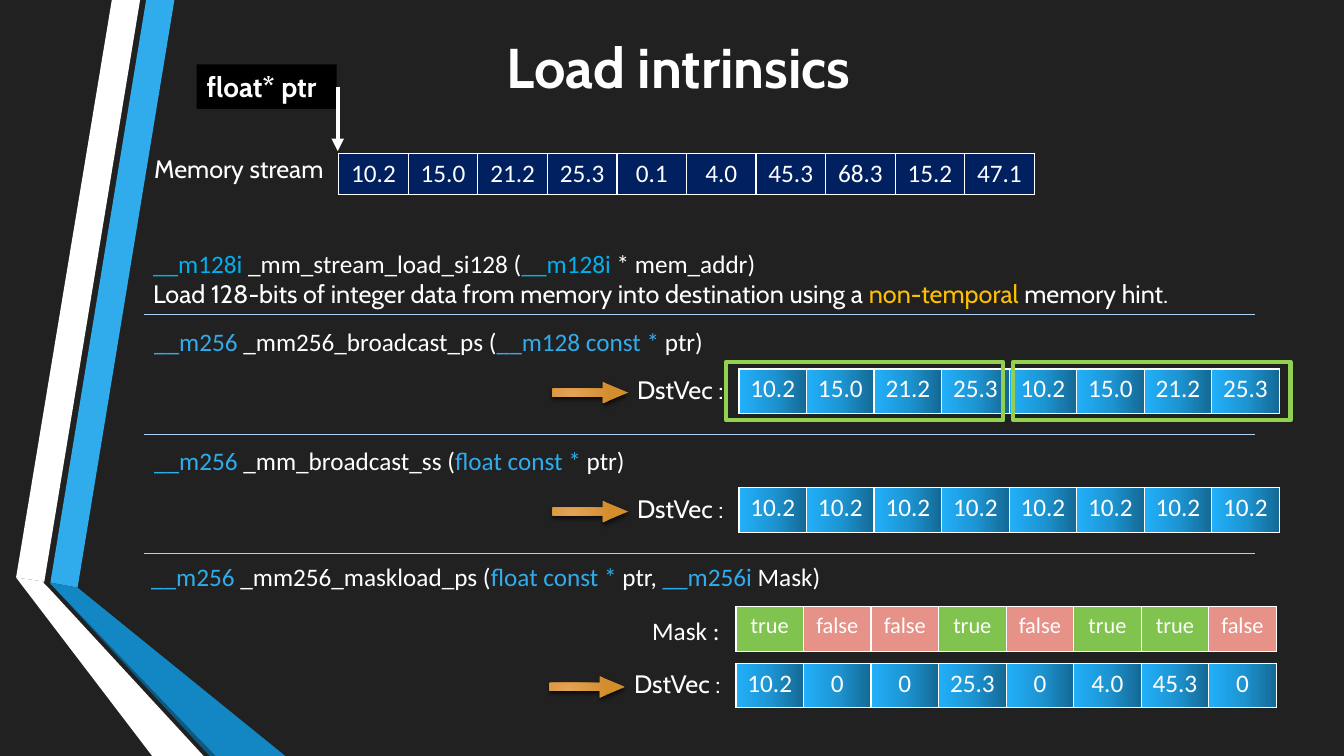
from lxml import etree
from pptx import Presentation, util as u
from pptx.dml.color import RGBColor
from pptx.enum import shapes, text
from pptx.oxml import parse_xml

COLORS = {
    "back": "212121", "white": "FFFFFF", "black": "000000", "navy": "002060",
    "sky": "30ACEC", "blue": "1287C3", "deep": "0C5A82", "type": "00B0F0",
    "amber": "FFC000", "rule": "AED2F4", "frame": "92D050",
    "true": "80C34F", "false": "E69289",
}
VECTOR_STOPS = [(0, "146994"), (50, "1D95D3"), (100, "22B0FA")]
ARROW_STOPS = [(0, "E4A559"), (100, "D38D2D")]
A = "http://schemas.openxmlformats.org/drawingml/2006/main"

RIBBONS = [
    ("sky", [(0.5, 5.78), (0.77, 5.83), (1.73, 0), (1.45, 0)]),
    ("white", [(1.39, 0), (1.11, 0), (0.16, 5.73), (0.44, 5.77)]),
    ("deep", [(0.5, 5.79), (2.08, 7.5), (2.14, 7.5)]),
    ("blue", [(0.5, 5.79), (2.14, 7.5), (2.83, 7.5), (0.77, 5.83), (0.5, 5.78)]),
    ("white", [(2.02, 7.5), (0.48, 5.83), (0.43, 5.78), (0.44, 5.77),
               (0.16, 5.73), (1.51, 7.5)]),
]
MEMORY = ["10.2", "15.0", "21.2", "25.3", "0.1", "4.0", "45.3", "68.3", "15.2", "47.1"]
STREAM_LOAD = [
    [("__m128i", "type"), (" _mm_stream_load_si128 (", "white"),
     ("__m128i ", "type"), ("* mem_addr)", "white")],
    [("Load 128-bits of integer data from memory into destination using a ", "white", "Cabin"),
     ("non-temporal", "amber", "Cabin"), (" memory hint.", "white", "Cabin")],
]
SIGNATURES = [  # left, top, width, runs
    (1.43, 3.19, 5.71, [("__m256", "sky"), (" _mm256_broadcast_ps (", "white"),
                        ("__m128 const * ", "sky"), ("ptr)", "white")]),
    (1.43, 4.37, 4.92, [("__m256", "sky"), (" _mm_broadcast_ss (", "white"),
                        ("float const * ", "sky"), ("ptr)", "white")]),
    (1.4, 5.52, 6.85, [("__m256", "sky"), (" _mm256_maskload_ps (", "white"),
                       ("float const * ", "sky"), ("ptr, ", "white"),
                       ("__m256i ", "sky"), ("Mask)", "white")]),
]
VECTORS = [  # left, top, values
    (7.33, 3.66, MEMORY[:4] * 2),
    (7.33, 4.84, MEMORY[:1] * 8),
    (7.3, 6.58, ["10.2", "0", "0", "25.3", "0", "4.0", "45.3", "0"]),
]
MASK = ["true", "false", "false", "true", "false", "true", "true", "false"]
RULES = [3.12, 4.31, 5.49]


def rgb(name):
    return RGBColor.from_string(COLORS[name])


def inches(*values):
    return [u.Inches(value) for value in values]


def gradient(stops, direction):
    marks = "".join(f'<a:gs pos="{place * 1000}"><a:srgbClr val="{color}"/></a:gs>'
                    for place, color in stops)
    return parse_xml(f'<a:gradFill xmlns:a="{A}" rotWithShape="1">'
                     f'<a:gsLst>{marks}</a:gsLst>{direction}</a:gradFill>')


def write(frame, lines, size=18, font="Calibri", bold=False, align=None):
    """Fill a text frame; each line is a list of (text, colour[, font]) runs."""
    for index, runs in enumerate(lines):
        para = frame.paragraphs[0] if index == 0 else frame.add_paragraph()
        para.alignment = align
        for words, color, *face in runs:
            span = para.add_run()
            span.text = words
            span.font.size = u.Pt(size)
            span.font.name = face[0] if face else font
            span.font.bold = bold
            span.font.color.rgb = rgb(color)


def add_text(page, place, lines, wrap=False, anchor=text.MSO_ANCHOR.TOP, **style):
    box = page.shapes.add_textbox(*inches(*place))
    frame = box.text_frame
    frame.word_wrap = wrap
    frame.vertical_anchor = anchor
    write(frame, lines, **style)
    return box


def add_line(page, start, end, color, width):
    line = page.shapes.add_connector(shapes.MSO_CONNECTOR.STRAIGHT, *inches(*start, *end))
    line.line.color.rgb = rgb(color)
    line.line.width = u.Pt(width)
    etree.SubElement(line._element.spPr, f"{{{A}}}effectLst")
    return line


def add_cells(page, left, top, cell_width, height, values, fills=None, size=18):
    """Add a one-row table; without fills the cells get the vector gradient."""
    table = page.shapes.add_table(
        1, len(values), *inches(left, top, cell_width * len(values), height)).table
    table.first_row = table.horz_banding = False
    table.rows[0].height = u.Inches(height)
    for index, value in enumerate(values):
        table.columns[index].width = u.Inches(cell_width)
        cell = table.cell(0, index)
        write(cell.text_frame, [[(value, "white")]], size=size, align=text.PP_ALIGN.CENTER)
        props = cell._tc.get_or_add_tcPr()
        for side in "LRTB":
            props.append(parse_xml(
                f'<a:ln{side} xmlns:a="{A}" w="12700"><a:solidFill>'
                f'<a:srgbClr val="{COLORS["white"]}"/></a:solidFill></a:ln{side}>'))
        if fills:
            cell.fill.solid()
            cell.fill.fore_color.rgb = rgb(fills[index])
        else:
            props.append(gradient(VECTOR_STOPS, '<a:lin ang="10800000" scaled="0"/>'))


def add_arrow(page, left, top):
    arrow = page.shapes.add_shape(shapes.MSO_SHAPE.RIGHT_ARROW, *inches(left, top, 0.75, 0.21))
    arrow.adjustments[0], arrow.adjustments[1] = 0.37, 1.19
    arrow.line.fill.background()
    props = arrow._element.spPr
    props.insert(2, gradient(
        ARROW_STOPS, '<a:path path="circle"><a:fillToRect l="50000" t="100000" '
                     'r="100000" b="50000"/></a:path>'))
    props.append(parse_xml(
        f'<a:effectLst xmlns:a="{A}"><a:outerShdw blurRad="38100" dist="25400" '
        f'dir="5400000" rotWithShape="0"><a:srgbClr val="{COLORS["black"]}">'
        '<a:alpha val="64000"/></a:srgbClr></a:outerShdw></a:effectLst>'))


def add_ribbon(page, color, points):
    corners = [inches(*point) for point in points]
    builder = page.shapes.build_freeform(*corners[0])
    builder.add_line_segments(corners[1:], close=True)
    ribbon = builder.convert_to_shape()
    ribbon.shadow.inherit = False
    ribbon.fill.solid()
    ribbon.fill.fore_color.rgb = rgb(color)
    ribbon.line.fill.background()


def add_frame(page, left):
    frame = page.shapes.add_shape(shapes.MSO_SHAPE.RECTANGLE, *inches(left, 3.59, 2.75, 0.58))
    frame.shadow.inherit = False
    frame.fill.background()
    frame.line.color.rgb = rgb("frame")
    frame.line.width = u.Pt(3)


def main():
    deck = Presentation()
    deck.slide_width, deck.slide_height = inches(13.33, 7.5)
    page = deck.slides.add_slide(deck.slide_layouts[6])
    page.background.fill.solid()
    page.background.fill.fore_color.rgb = rgb("back")

    for color, points in RIBBONS:
        add_ribbon(page, color, points)
    add_text(page, (1.25, 0.16, 10.96, 0.99), [[("Load intrinsics", "white")]], wrap=True,
             anchor=text.MSO_ANCHOR.MIDDLE, size=40, font="Cabin", bold=True,
             align=text.PP_ALIGN.CENTER)

    add_text(page, (1.42, 2.41, 10.78, 0.71), STREAM_LOAD, wrap=True)
    add_cells(page, 3.36, 1.52, 0.69, 0.41, MEMORY, fills=["navy"] * len(MEMORY))
    pointer = add_text(page, (1.95, 0.64, 1.39, 0.44), [[("float* ptr", "white")]],
                       size=20, font="Cabin", bold=True)
    pointer.fill.solid()
    pointer.fill.fore_color.rgb = rgb("black")
    add_text(page, (1.43, 1.47, 1.92, 0.4), [[("Memory stream", "white")]], font="Cabin")
    pointer_line = add_line(page, (3.35, 0.86), (3.35, 1.5), "white", 3)
    etree.SubElement(pointer_line.line._get_or_add_ln(), f"{{{A}}}tailEnd", type="triangle")

    for top in RULES:
        add_line(page, (1.43, top), (12.45, top), "rule", 0.75)
    for left, top, width, runs in SIGNATURES:
        add_text(page, (left, top, width, 0.4), [runs])
    for left, top, values in VECTORS:
        add_cells(page, left, top, 0.67, 0.44, values)
        add_text(page, (left - 1.11, top, 1.11, 0.4), [[("DstVec :", "white")]], font="Cabin")
        add_arrow(page, left - 1.85, top + 0.13)
    for left in (7.2, 10.05):
        add_frame(page, left)

    add_cells(page, 7.3, 6.02, 0.67, 0.44, MASK, fills=MASK, size=16)
    add_text(page, (6.37, 6.06, 0.88, 0.4), [[("Mask :", "white")]])
    deck.save("out.pptx")


if __name__ == "__main__":
    main()
